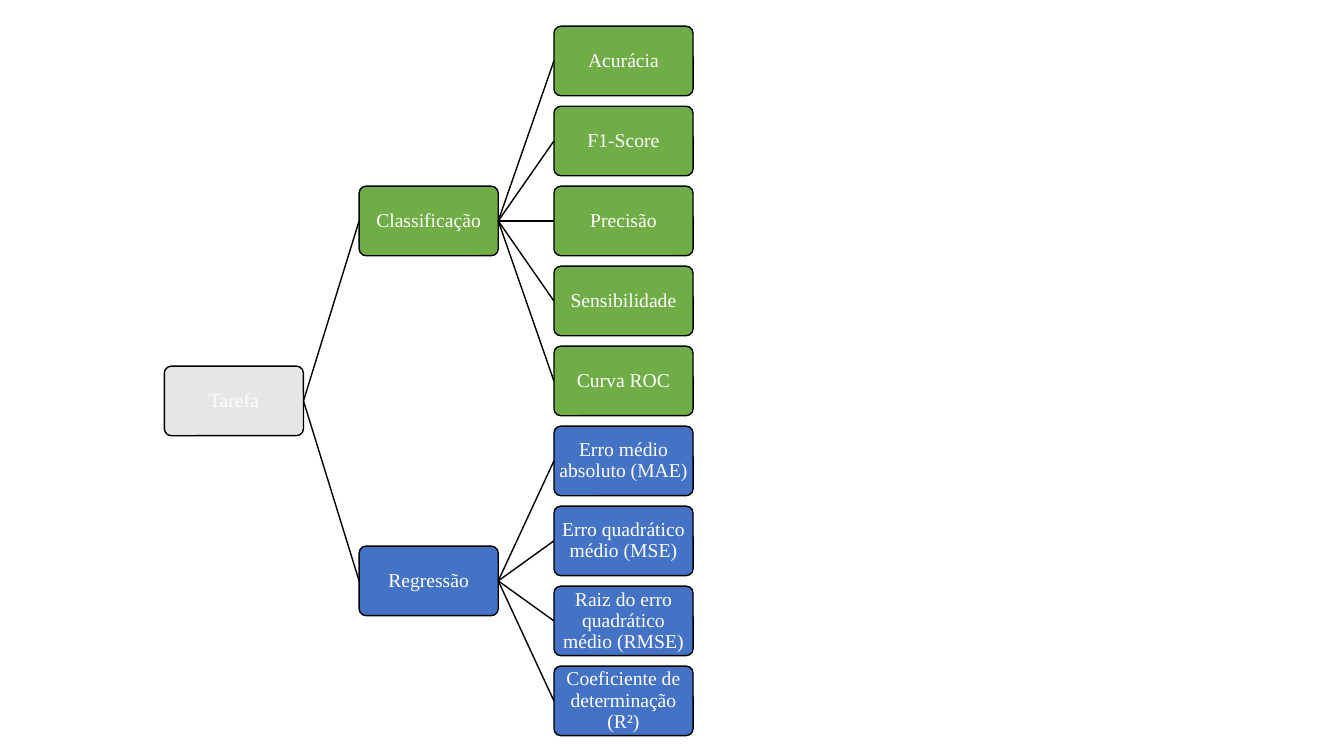
from dataclasses import dataclass

import pptx
import pptx.dml.color
import pptx.enum.shapes
import pptx.enum.text
import pptx.oxml.ns
import pptx.shapes.autoshape
import pptx.slide
import pptx.util
from lxml import etree

COLORS = {
    "task": "E7E6E6",
    "classification": "70AD47",
    "regression": "4472C4",
    "line": "000000",
    "text": "FFFFFF",
}

# Grid, in inches: boxes twice as wide as high, with proportional gaps
BOX_HEIGHT = 0.69
BOX_WIDTH = 2 * BOX_HEIGHT
ROW_STEP = 1.15 * BOX_HEIGHT
COLUMN_STEP = 1.4 * BOX_WIDTH
GRID_LEFT, GRID_TOP = 1.63, 0.26
TEXT_INSET = 0.01


@dataclass
class Node:
    text: str
    color: str
    children: tuple["Node", ...] = ()


def branch(text: str, color: str, metrics: list[str]) -> Node:
    return Node(text, color, tuple(Node(metric, color) for metric in metrics))


TREE = Node("Tarefa", "task", (
    branch("Classificação", "classification", [
        "Acurácia", "F1-Score", "Precisão", "Sensibilidade", "Curva ROC",
    ]),
    branch("Regressão", "regression", [
        "Erro médio absoluto (MAE)",
        "Erro quadrático médio (MSE)",
        "Raiz do erro quadrático médio (RMSE)",
        "Coeficiente de determinação (R²)",
    ]),
))


def rgb(name: str) -> pptx.dml.color.RGBColor:
    return pptx.dml.color.RGBColor.from_string(COLORS[name])


def write_text(shape: pptx.shapes.autoshape.Shape, text: str, *,
               size: float = 14, font: str = "Times New Roman",
               color: str = "text") -> None:
    frame = shape.text_frame
    frame.word_wrap = True
    frame.vertical_anchor = pptx.enum.text.MSO_ANCHOR.MIDDLE
    inset = pptx.util.Inches(TEXT_INSET)
    frame.margin_left = frame.margin_right = inset
    frame.margin_top = frame.margin_bottom = inset
    paragraph = frame.paragraphs[0]
    paragraph.alignment = pptx.enum.text.PP_ALIGN.CENTER
    paragraph.line_spacing = 0.9
    run = paragraph.add_run()
    run.text = text
    run.font.size = pptx.util.Pt(size)
    run.font.name = font
    run.font.color.rgb = rgb(color)


def add_box(slide: pptx.slide.Slide, node: Node, column: int,
            row: float) -> pptx.shapes.autoshape.Shape:
    shape = slide.shapes.add_shape(
        pptx.enum.shapes.MSO_SHAPE.ROUNDED_RECTANGLE,
        pptx.util.Inches(GRID_LEFT + column * COLUMN_STEP),
        pptx.util.Inches(GRID_TOP + row * ROW_STEP),
        pptx.util.Inches(BOX_WIDTH), pptx.util.Inches(BOX_HEIGHT))
    shape.adjustments[0] = 0.1
    shape.shadow.inherit = False
    shape.fill.solid()
    shape.fill.fore_color.rgb = rgb(node.color)
    shape.line.color.rgb = rgb("line")
    shape.line.width = pptx.util.Pt(1)
    write_text(shape, node.text)
    return shape


def connect(slide: pptx.slide.Slide, parent: pptx.shapes.autoshape.Shape,
            child: pptx.shapes.autoshape.Shape) -> None:
    connector = slide.shapes.add_connector(
        pptx.enum.shapes.MSO_CONNECTOR.STRAIGHT, 0, 0, 0, 0)
    connector.begin_connect(parent, 3)
    connector.end_connect(child, 1)
    connector.line.color.rgb = rgb("line")
    connector.line.width = pptx.util.Pt(1)
    properties = connector._element.spPr
    etree.SubElement(properties, pptx.oxml.ns.qn("a:effectLst"))


def count_leaves(node: Node) -> int:
    return sum(map(count_leaves, node.children)) or 1


def find_row(node: Node, first_row: int) -> float:
    """A leaf takes one row; a parent is centred on its outer children."""
    if not node.children:
        return first_row
    first, last = node.children[0], node.children[-1]
    last_start = first_row + count_leaves(node) - count_leaves(last)
    return (find_row(first, first_row) + find_row(last, last_start)) / 2


def draw_tree(slide: pptx.slide.Slide, node: Node, column: int = 0,
              first_row: int = 0) -> pptx.shapes.autoshape.Shape:
    box = add_box(slide, node, column, find_row(node, first_row))
    for child in node.children:
        connect(slide, box, draw_tree(slide, child, column + 1, first_row))
        first_row += count_leaves(child)
    return box


def main() -> None:
    presentation = pptx.Presentation()
    presentation.slide_width = pptx.util.Inches(13.33)
    presentation.slide_height = pptx.util.Inches(7.5)
    # Blank layout
    slide = presentation.slides.add_slide(presentation.slide_layouts[6])
    # Tree of tasks and their metrics
    draw_tree(slide, TREE)
    presentation.save("out.pptx")


if __name__ == "__main__":
    main()
